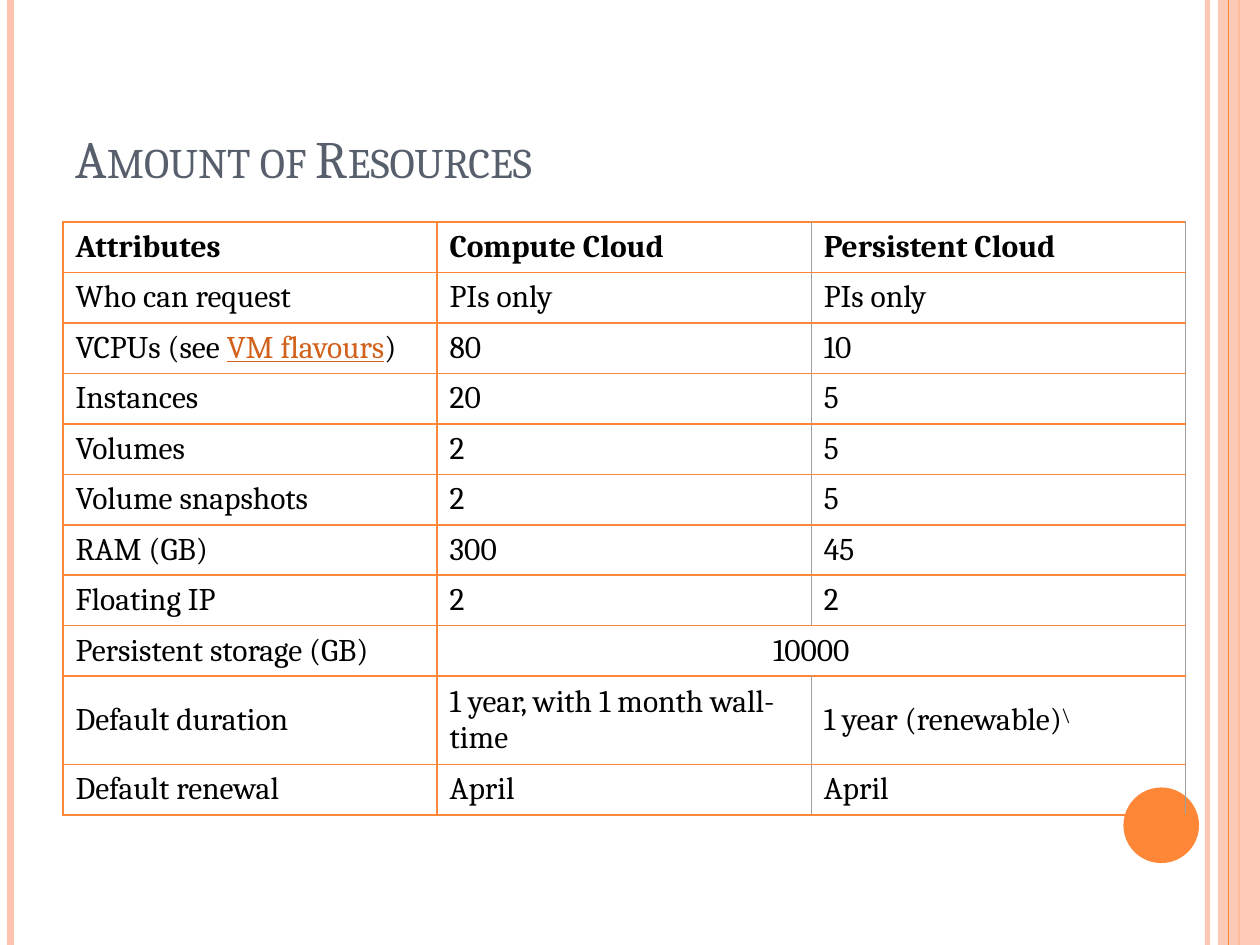
import pptx
import pptx.dml.color
import pptx.enum.shapes
import pptx.enum.text
import pptx.oxml
import pptx.oxml.ns
import pptx.util
from dataclasses import dataclass
from typing import NamedTuple

Pt = pptx.util.Pt
Shape = pptx.enum.shapes.MSO_SHAPE
Anchor = pptx.enum.text.MSO_ANCHOR
Align = pptx.enum.text.PP_ALIGN
qn = pptx.oxml.ns.qn


@dataclass(frozen=True)
class Theme:
    font: str = "Cambria"
    head: float = 30
    body: float = 18
    slate: str = "575F6D"
    ink: str = "000000"
    link: str = "D2611C"
    orange: str = "FE8637"
    peach: str = "FEC3AE"
    gray: str = "A0A0A0"


class Rule(NamedTuple):
    x: float
    width: float
    color: str
    alpha: int = 100


class Block(NamedTuple):
    kind: int
    box: tuple
    color: str
    alpha: int = 100


class Piece(NamedTuple):
    text: str
    form: dict = {}
    marks: dict = {}


THEME = Theme()
WIDE, HIGH = 720, 540

# Side decoration, from back to front
DECOR = [
    Rule(690, 3, THEME.peach, 93),
    Rule(6, 4.5, THEME.peach),
    Rule(708, 1.5, THEME.orange),
    Block(Shape.RECTANGLE, (696, 0, 24, HIGH), THEME.peach, 87),
    Rule(702, 0.75, THEME.orange),
    Block(Shape.OVAL, (642, 450, 43.2, 43.2), THEME.orange),
]

# Table content; None continues the cell on its left
ROWS = [
    ("Attributes", "Compute Cloud", "Persistent Cloud"),
    ("Who can request", "PIs only", "PIs only"),
    ([Piece("VCPUs (see "),
      Piece("VM flavours", {"color": THEME.link, "underline": True}),
      Piece(")")], "80", "10"),
    ("Instances", "20", "5"),
    ("Volumes", "2", "5"),
    ("Volume snapshots", "2", "5"),
    ("RAM (GB)", "300", "45"),
    ("Floating IP", "2", "2"),
    ("Persistent storage (GB)", "10000", None),
    ("Default duration", "1 year, with 1 month wall-time",
     [Piece("1 year (renewable)"), Piece("\\", {}, {"baseline": "30000"})]),
    ("Default renewal", "April", "April"),
]
TALL = 9
LEFT, TOP, COL, ROW, TWO = 36, 126.9, 213.8, 28, 48.6


def rgb(color: str) -> pptx.dml.color.RGBColor:
    return pptx.dml.color.RGBColor.from_string(color)


def fade(part, alpha: int) -> None:
    if alpha < 100:
        node = next(part.iter(qn("a:srgbClr")))
        node.append(pptx.oxml.parse_xml(
            f'<a:alpha {pptx.oxml.ns.nsdecls("a")} val="{alpha * 1000}"/>'))


def draw_rule(slide, rule: Rule) -> None:
    line = slide.shapes.add_connector(
        pptx.enum.shapes.MSO_CONNECTOR.STRAIGHT,
        Pt(rule.x), Pt(0), Pt(rule.x), Pt(HIGH))
    line.line.color.rgb = rgb(rule.color)
    line.line.width = Pt(rule.width)
    props = line._element.spPr
    fade(props, rule.alpha)
    props.append(pptx.oxml.parse_xml(
        f'<a:effectLst {pptx.oxml.ns.nsdecls("a")}/>'))


def draw_block(slide, block: Block) -> None:
    shape = slide.shapes.add_shape(block.kind, *map(Pt, block.box))
    shape.shadow.inherit = False
    shape.fill.solid()
    shape.fill.fore_color.rgb = rgb(block.color)
    shape.line.fill.background()
    fade(shape._element.spPr, block.alpha)


def write(para, piece: Piece, base: dict) -> None:
    run = para.add_run()
    run.text = piece.text
    form = {**base, **piece.form}
    run.font.color.rgb = rgb(form.pop("color"))
    for name, value in form.items():
        setattr(run.font, name, value)
    for name, value in piece.marks.items():
        run._r.get_or_add_rPr().set(name, value)


def draw_title(slide, text: str) -> None:
    box = slide.shapes.add_textbox(Pt(36), Pt(21.6), Pt(588), Pt(90))
    frame = box.text_frame
    for name, value in {"word_wrap": True,
                        "vertical_anchor": Anchor.BOTTOM}.items():
        setattr(frame, name, value)
    write(frame.paragraphs[0], Piece(text, {}, {"cap": "small"}),
          {"name": THEME.font, "size": Pt(THEME.head), "color": THEME.slate})


def edge(cell, col: int) -> None:
    props = cell._tc.get_or_add_tcPr()
    for spot, side in enumerate("LRTB"):
        thin = (side == "L" and col == 2) or (side == "R" and col > 0)
        color, width = (THEME.gray, 0.5) if thin else (THEME.orange, 1)
        props.insert(spot, pptx.oxml.parse_xml(
            f'<a:ln{side} {pptx.oxml.ns.nsdecls("a")} w="{Pt(width)}">'
            f'<a:solidFill><a:srgbClr val="{color}"/></a:solidFill>'
            f'</a:ln{side}>'))


def draw_table(slide, rows: list) -> None:
    size = ROW * (len(rows) - 1) + TWO
    table = slide.shapes.add_table(
        len(rows), 3, Pt(LEFT), Pt(TOP), Pt(3 * COL), Pt(size)).table
    for col in table.columns:
        col.width = Pt(COL)
    for r, row in enumerate(rows):
        table.rows[r].height = Pt(TWO if r == TALL else ROW)
        base = {"name": THEME.font, "size": Pt(THEME.body),
                "color": THEME.ink, "bold": r == 0}
        for c, text in enumerate(row):
            cell = table.cell(r, c)
            cell.fill.background()
            cell.vertical_anchor = Anchor.MIDDLE
            edge(cell, c)
            if text is None:
                start = table.cell(r, c - 1)
                start.merge(cell)
                start.text_frame.paragraphs[0].alignment = Align.CENTER
                continue
            parts = [Piece(text)] if isinstance(text, str) else text
            for piece in parts:
                write(cell.text_frame.paragraphs[0], piece, base)


def main() -> None:
    deck = pptx.Presentation()
    deck.slide_width, deck.slide_height = Pt(WIDE), Pt(HIGH)
    slide = deck.slides.add_slide(deck.slide_layouts[6])
    for item in DECOR:
        draw = draw_rule if isinstance(item, Rule) else draw_block
        draw(slide, item)
    draw_title(slide, "Amount of Resources")
    draw_table(slide, ROWS)
    deck.save("out.pptx")


if __name__ == "__main__":
    main()
